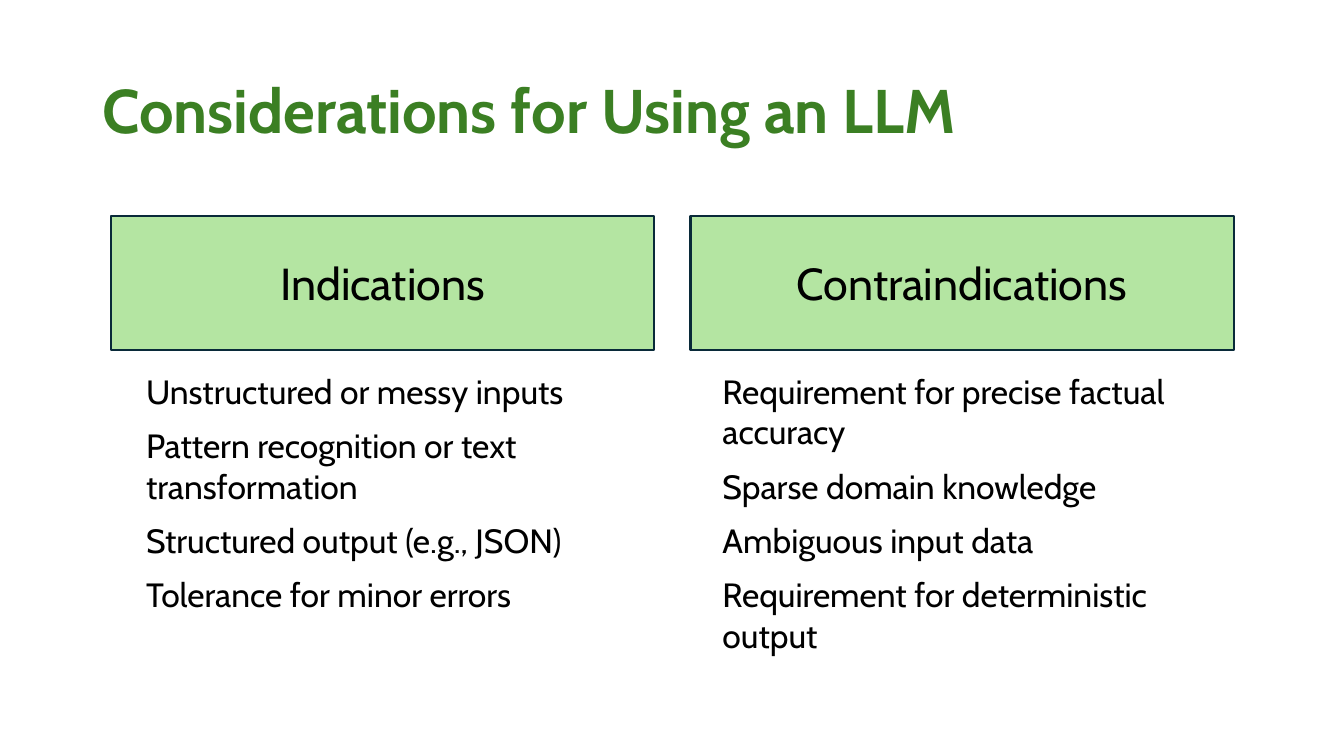
import pptx
import pptx.util
import pptx.dml.color
import pptx.enum.shapes
import pptx.enum.text

Pt = pptx.util.Pt
RGBColor = pptx.dml.color.RGBColor
PP_ALIGN = pptx.enum.text.PP_ALIGN
MSO_ANCHOR = pptx.enum.text.MSO_ANCHOR

TITLE_GREEN = RGBColor(0x3B, 0x7F, 0x23)
HEADER_GREEN = RGBColor(0xB4, 0xE5, 0xA2)
HEADER_LINE = RGBColor(0x09, 0x2A, 0x39)
BLACK = RGBColor(0, 0, 0)
FONT = "Cabin"

HEADER_HEIGHT = 95.8
BODY_OFFSET = 107.3

COLUMNS = [
    (79.2, 18, 351.4, 182.9, "Indications", [
        "Unstructured or messy inputs",
        "Pattern recognition or text transformation",
        "Structured output (e.g., JSON)",
        "Tolerance for minor errors",
    ]),
    (493.2, 15.8, 354.2, 212.4, "Contraindications", [
        "Requirement for precise factual accuracy",
        "Sparse domain knowledge",
        "Ambiguous input data",
        "Requirement for deterministic output",
    ]),
]


def write(sp, lines, size, color, bold=False):
    """Fill a shape with one formatted paragraph per line."""
    tf = sp.text_frame
    tf.word_wrap = True
    tf.text = "\n".join(lines)
    for p in tf.paragraphs:
        for r in p.runs:
            r.font.name = FONT
            r.font.size = Pt(size)
            r.font.bold = bold
            r.font.color.rgb = color
    return tf


def add_title(s, x, y, w, h, text):
    """Place the slide title in the given box."""
    sp = s.shapes.add_textbox(Pt(x), Pt(y), Pt(w), Pt(h))
    tf = write(sp, [text], 44, TITLE_GREEN, bold=True)
    tf.vertical_anchor = MSO_ANCHOR.MIDDLE
    tf.paragraphs[0].line_spacing = 0.9


def add_header(s, x, y, w, h, text):
    """Place a filled column header in the given box."""
    sp = s.shapes.add_shape(pptx.enum.shapes.MSO_SHAPE.RECTANGLE,
                            Pt(x), Pt(y), Pt(w), Pt(h))
    sp.shadow.inherit = False
    sp.fill.solid()
    sp.fill.fore_color.rgb = HEADER_GREEN
    sp.line.color.rgb = HEADER_LINE
    sp.line.width = Pt(1.5)
    tf = write(sp, [text], 32, BLACK)
    tf.vertical_anchor = MSO_ANCHOR.MIDDLE
    tf.paragraphs[0].alignment = PP_ALIGN.CENTER


def add_points(s, x, y, w, h, points):
    """Place a list of points in the given box."""
    sp = s.shapes.add_textbox(Pt(x), Pt(y), Pt(w), Pt(h))
    tf = write(sp, points, 24, BLACK)
    tf.auto_size = pptx.enum.text.MSO_AUTO_SIZE.SHAPE_TO_FIT_TEXT
    for p in tf.paragraphs:
        p.space_after = Pt(10)


def main():
    """Build the slide and save it."""
    prs = pptx.Presentation()
    prs.slide_width = Pt(960)
    prs.slide_height = Pt(540)
    s = prs.slides.add_slide(prs.slide_layouts[6])
    add_title(s, 66, 28.8, 828, 104.4, "Considerations for Using an LLM")
    top = 154.1
    for x, inset, body_width, body_height, heading, points in COLUMNS:
        add_header(s, x, top, 388.1, HEADER_HEIGHT, heading)
        add_points(s, x + inset, top + BODY_OFFSET, body_width, body_height, points)
    prs.save("out.pptx")


if __name__ == "__main__":
    main()
